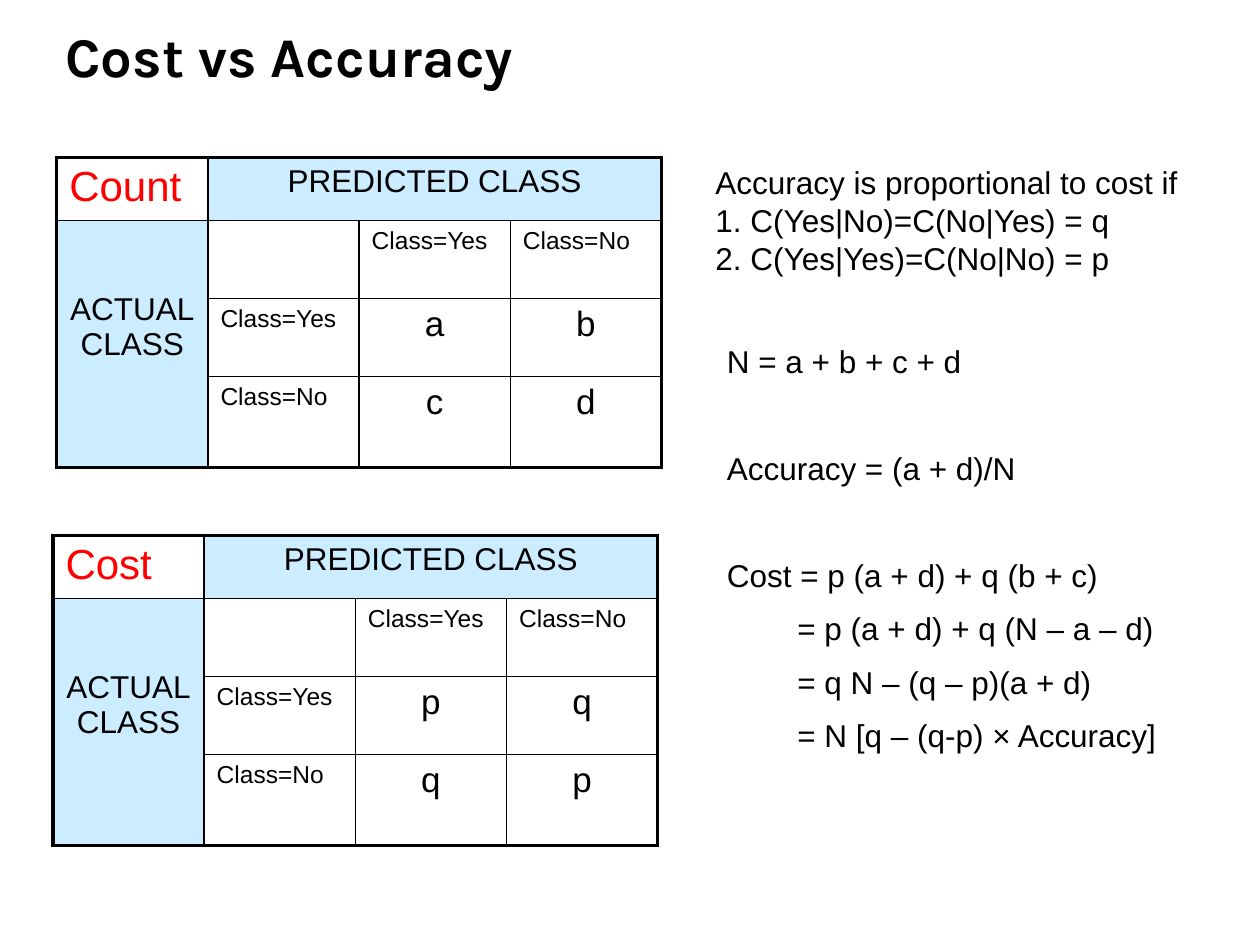
from dataclasses import dataclass

from lxml import etree
from pptx import Presentation
from pptx.dml.color import RGBColor
from pptx.enum.text import MSO_ANCHOR, PP_ALIGN
from pptx.oxml.ns import qn
from pptx.util import Inches, Pt

BOTTOM = MSO_ANCHOR.BOTTOM
LEFT = PP_ALIGN.LEFT
CENTER = PP_ALIGN.CENTER


@dataclass(frozen=True)
class Theme:
    """Colours, fonts and type sizes of the slide."""
    black: str = "000000"
    red: str = "FF0000"
    white: str = "FFFFFF"
    pale_blue: str = "CCECFF"
    title_font: str = "Karla"
    body_font: str = "Arial"
    title_size: int = 32
    corner_size: int = 24
    value_size: int = 20
    body_size: int = 18
    label_size: int = 14
    outer_line: float = 2.25
    inner_line: float = 1


THEME = Theme()
COLUMN_WIDTHS = [1.2] * 4
ROW_HEIGHTS = [0.5, 0.62, 0.62, 0.72]
CONDITIONS = ["Accuracy is proportional to cost if",
              "1. C(Yes|No)=C(No|Yes) = q",
              "2. C(Yes|Yes)=C(No|No) = p"]
BODY_LEADING = Pt(21.5)
STEP_GAP = 9
SECTION_GAP = 39.5
DERIVATION = [("N = a + b + c + d", 0, 0),
              ("Accuracy = (a + d)/N", SECTION_GAP, 0),
              ("Cost = p (a + d) + q (b + c)", SECTION_GAP, 0),
              ("= p (a + d) + q (N – a – d)", STEP_GAP, 0.56),
              ("= q N – (q – p)(a + d)", STEP_GAP, 0.56),
              ("= N [q – (q-p) × Accuracy]", STEP_GAP, 0.56)]


def style_paragraph(paragraph, size, color=THEME.black, font=THEME.body_font, bold=False):
    """Set the font of every run in a paragraph."""
    for run in paragraph.runs:
        run.font.name = font
        run.font.size = Pt(size)
        run.font.bold = bold
        run.font.color.rgb = RGBColor.from_string(color)


def add_text_box(slide, box, lines):
    """Add a wrapping text box with one paragraph per line."""
    text_frame = slide.shapes.add_textbox(*map(Inches, box)).text_frame
    text_frame.word_wrap = True
    text_frame.text = "\n".join(lines)
    return text_frame


def add_title(slide, box):
    """Place the slide title at the bottom of its box."""
    text_frame = add_text_box(slide, box, ["Cost vs Accuracy"])
    text_frame.vertical_anchor = BOTTOM
    paragraph = text_frame.paragraphs[0]
    paragraph.line_spacing = 1.12
    style_paragraph(paragraph, THEME.title_size, font=THEME.title_font, bold=True)


def add_conditions(slide, box):
    """Place the conditions under which accuracy is proportional to cost."""
    for paragraph in add_text_box(slide, box, CONDITIONS).paragraphs:
        paragraph.line_spacing = BODY_LEADING
        style_paragraph(paragraph, THEME.body_size)


def add_derivation(slide, box):
    """Place the formulas, indenting the continued steps."""
    text_frame = add_text_box(slide, box, [line for line, _, _ in DERIVATION])
    for paragraph, (_, gap, indent) in zip(text_frame.paragraphs, DERIVATION):
        paragraph.line_spacing = BODY_LEADING
        paragraph.space_before = Pt(gap)
        paragraph._p.get_or_add_pPr().set("marL", str(Inches(indent)))
        style_paragraph(paragraph, THEME.body_size)


def draw_borders(cell, row, column):
    """Draw thick lines on the table's rim and thin lines within it."""
    rows_spanned = cell.span_height if cell.is_merge_origin else 1
    columns_spanned = cell.span_width if cell.is_merge_origin else 1
    on_rim = {"a:lnL": column == 0,
              "a:lnR": column + columns_spanned == len(COLUMN_WIDTHS),
              "a:lnT": row == 0,
              "a:lnB": row + rows_spanned == len(ROW_HEIGHTS)}
    properties = cell._tc.get_or_add_tcPr()
    for tag, outer in on_rim.items():
        if cell.is_spanned and not outer:
            continue
        width = Pt(THEME.outer_line if outer else THEME.inner_line)
        line = etree.SubElement(properties, qn(tag), w=str(width))
        fill = etree.SubElement(line, qn("a:solidFill"))
        etree.SubElement(fill, qn("a:srgbClr"), val=THEME.black)


def fill_cell(cell, text, size, alignment=LEFT, color=THEME.black):
    """Write and format the text of one cell."""
    cell.text = text
    for paragraph in cell.text_frame.paragraphs:
        paragraph.alignment = alignment
        style_paragraph(paragraph, size, color)


def add_class_table(slide, box, name, values):
    """Place a table of predicted against actual classes."""
    table = slide.shapes.add_table(len(ROW_HEIGHTS), len(COLUMN_WIDTHS),
                                   *map(Inches, box)).table
    table.first_row = table.horz_banding = False
    for column, width in zip(table.columns, COLUMN_WIDTHS):
        column.width = Inches(width)
    for row, height in zip(table.rows, ROW_HEIGHTS):
        row.height = Inches(height)

    predicted, actual = table.cell(0, 1), table.cell(1, 0)
    predicted.merge(table.cell(0, 3))
    actual.merge(table.cell(3, 0))
    for row in range(len(ROW_HEIGHTS)):
        for column in range(len(COLUMN_WIDTHS)):
            cell = table.cell(row, column)
            draw_borders(cell, row, column)
            heading = (row == 0) != (column == 0)
            cell.fill.solid()
            cell.fill.fore_color.rgb = RGBColor.from_string(
                THEME.pale_blue if heading else THEME.white)

    fill_cell(table.cell(0, 0), name, THEME.corner_size, color=THEME.red)
    fill_cell(predicted, "PREDICTED CLASS", THEME.body_size, CENTER)
    fill_cell(actual, "ACTUAL\nCLASS", THEME.body_size, CENTER)
    actual.margin_top = Inches(0.57)
    for paragraph in actual.text_frame.paragraphs:
        paragraph.line_spacing = Pt(20)
    for index, label in enumerate(["Class=Yes", "Class=No"], start=2):
        fill_cell(table.cell(1, index), label, THEME.label_size)
        fill_cell(table.cell(index, 1), label, THEME.label_size)
    for row, row_values in enumerate(values, start=2):
        for column, value in enumerate(row_values, start=2):
            fill_cell(table.cell(row, column), value, THEME.value_size, CENTER)


def main():
    """Build the slide and save it."""
    presentation = Presentation()
    presentation.slide_width = Inches(10)
    presentation.slide_height = Inches(7.5)
    slide = presentation.slides.add_slide(presentation.slide_layouts[6])
    width, height = sum(COLUMN_WIDTHS), sum(ROW_HEIGHTS)
    add_title(slide, (0.42, 0.17, 9.06, 0.58))
    add_class_table(slide, (0.45, 1.25, width, height), "Count", ["ab", "cd"])
    add_class_table(slide, (0.42, 4.25, width, height), "Cost", ["pq", "qp"])
    add_derivation(slide, (5.67, 2.67, 3.92, 4.01))
    add_conditions(slide, (5.58, 1.25, 4.08, 1))
    presentation.save("out.pptx")


if __name__ == "__main__":
    main()
